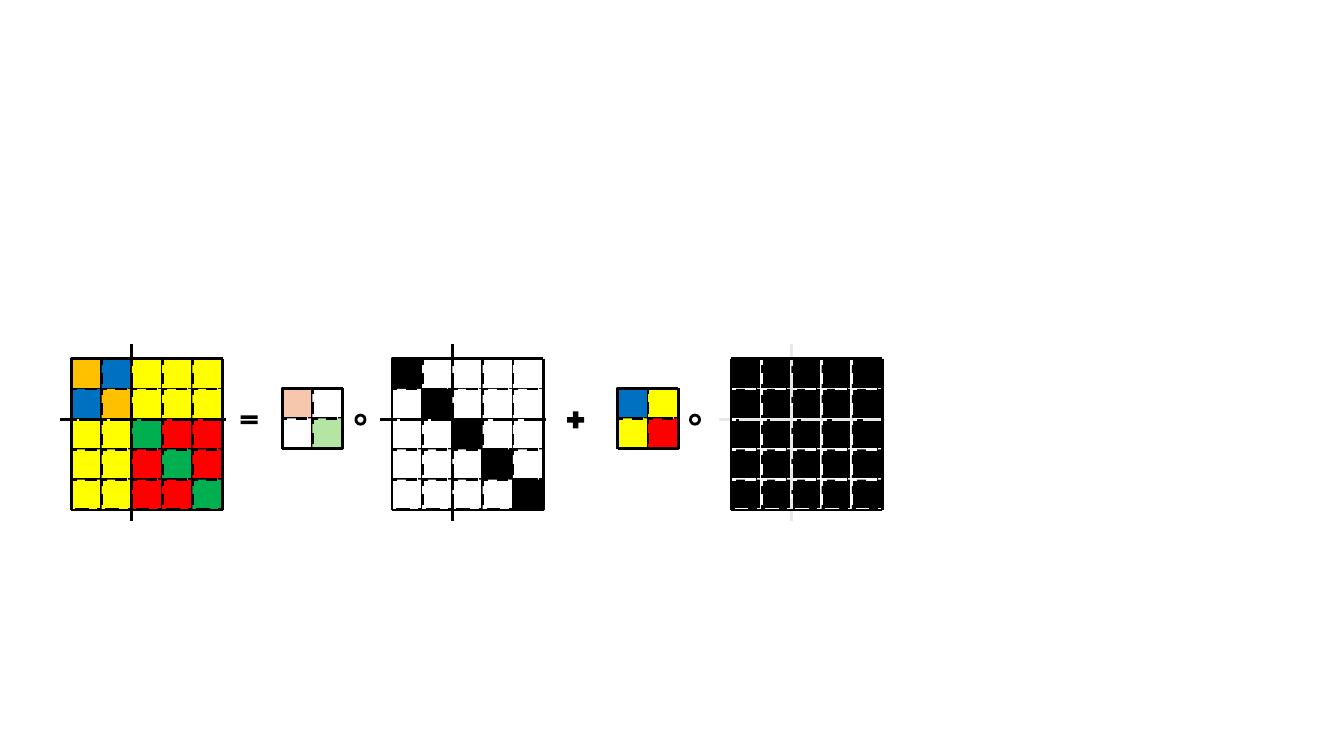
from lxml import etree
from pptx import Presentation
from pptx.dml.color import RGBColor
from pptx.enum.dml import MSO_LINE
from pptx.enum.shapes import MSO_CONNECTOR, MSO_SHAPE
from pptx.oxml.ns import qn
from pptx.util import Cm, Pt

RECTANGLE, OVAL = MSO_SHAPE.RECTANGLE, MSO_SHAPE.OVAL
PLUS, EQUAL = MSO_SHAPE.MATH_PLUS, MSO_SHAPE.MATH_EQUAL
STRAIGHT = MSO_CONNECTOR.STRAIGHT
DASH, LONG_DASH = MSO_LINE.DASH, MSO_LINE.LONG_DASH

BLACK = RGBColor(0x00, 0x00, 0x00)
WHITE = RGBColor(0xFF, 0xFF, 0xFF)
PALE_GRAY = RGBColor(0xE8, 0xE8, 0xE8)
PEACH = RGBColor(0xF6, 0xC6, 0xAD)
MINT = RGBColor(0xB4, 0xE5, 0xA2)
ORANGE = RGBColor(0xFF, 0xC0, 0x00)
BLUE = RGBColor(0x00, 0x70, 0xC0)
YELLOW = RGBColor(0xFF, 0xFF, 0x00)
RED = RGBColor(0xFF, 0x00, 0x00)
GREEN = RGBColor(0x00, 0xB0, 0x50)

# Letters used in the matrix patterns
COLORS = {"k": BLACK, "w": WHITE, "p": PEACH, "m": MINT, "o": ORANGE,
          "b": BLUE, "y": YELLOW, "r": RED, "g": GREEN}

BLOCK_SUM = ["obyyy", "boyyy", "yygrr", "yyrgr", "yyrrg"]
DIAGONAL_WEIGHTS = ["pw", "wm"]
IDENTITY = ["kwwww", "wkwww", "wwkww", "wwwkw", "wwwwk"]
BLOCK_WEIGHTS = ["by", "yr"]
ALL_ONES = ["kkkkk"] * 5


class MatrixSlide:
    """Draws matrices and operators on one slide; lengths are in cm."""

    cell = 0.762
    line_width = Pt(2)
    split_after = 2       # cells before the block boundary
    overhang_y = 0.38     # boundary beyond the top and bottom
    overhang_left = 0.3
    overhang_right = 0.08

    def __init__(self, deck):
        self.slide = deck.slides.add_slide(deck.slide_layouts[6])

    def shape(self, shapes, kind, left, top, width, height, fill, line=None, dash=None):
        shape = shapes.add_shape(kind, Cm(left), Cm(top), Cm(width), Cm(height))
        shape.shadow.inherit = False
        shape.fill.solid()
        shape.fill.fore_color.rgb = fill
        if line is None:
            shape.line.fill.background()
        else:
            self.stroke(shape.line, line, dash)

    def line(self, shapes, x1, y1, x2, y2, color=BLACK, dash=None):
        line = shapes.add_connector(STRAIGHT, Cm(x1), Cm(y1), Cm(x2), Cm(y2))
        self.stroke(line.line, color, dash)
        etree.SubElement(line._element.spPr, qn("a:effectLst"))

    def stroke(self, line, color, dash):
        line.color.rgb = color
        line.width = self.line_width
        if dash is not None:
            line.dash_style = dash

    def matrix(self, left, top, pattern, grid=BLACK, split=None):
        shapes = self.slide.shapes.add_group_shape().shapes
        size = self.cell * len(pattern)
        right, bottom = left + size, top + size
        # Cells
        for row, letters in enumerate(pattern):
            for column, letter in enumerate(letters):
                self.shape(shapes, RECTANGLE, left + column * self.cell,
                           top + row * self.cell, self.cell, self.cell,
                           COLORS[letter], grid, DASH)
        # Block boundary
        if split is not None:
            offset = self.split_after * self.cell
            self.line(shapes, left + offset, top - self.overhang_y,
                      left + offset, bottom + self.overhang_y, split, LONG_DASH)
            self.line(shapes, right + self.overhang_right, top + offset,
                      left - self.overhang_left, top + offset, split, LONG_DASH)
        # Solid frame
        for x in (left, right):
            self.line(shapes, x, top, x, bottom)
        for y in (top, bottom):
            self.line(shapes, left, y, right, y)

    def operator(self, kind, left, top, width, height, fill=BLACK, line=None):
        self.shape(self.slide.shapes, kind, left, top, width, height, fill, line)

    def product(self, left):
        self.operator(OVAL, left, 10.46, 0.23, 0.23, WHITE, BLACK)


def main():
    deck = Presentation()
    deck.slide_width, deck.slide_height = Cm(33.87), Cm(19.05)
    page = MatrixSlide(deck)
    large_top, small_top = 9.04, 9.78

    # Diagonal term
    page.matrix(7.11, small_top, DIAGONAL_WEIGHTS)
    page.matrix(9.88, large_top, IDENTITY, split=BLACK)
    page.product(8.97)

    # Block term
    page.matrix(15.57, small_top, BLOCK_WEIGHTS)
    page.matrix(18.42, large_top, ALL_ONES, grid=WHITE, split=PALE_GRAY)
    page.product(17.4)

    # Plus and equals signs
    page.operator(PLUS, 14.22, 10.29, 0.58, 0.58)
    page.operator(EQUAL, 5.99, 10.39, 0.58, 0.38)

    # Resulting matrix
    page.matrix(1.8, large_top, BLOCK_SUM, split=BLACK)

    deck.save("out.pptx")


if __name__ == "__main__":
    main()
